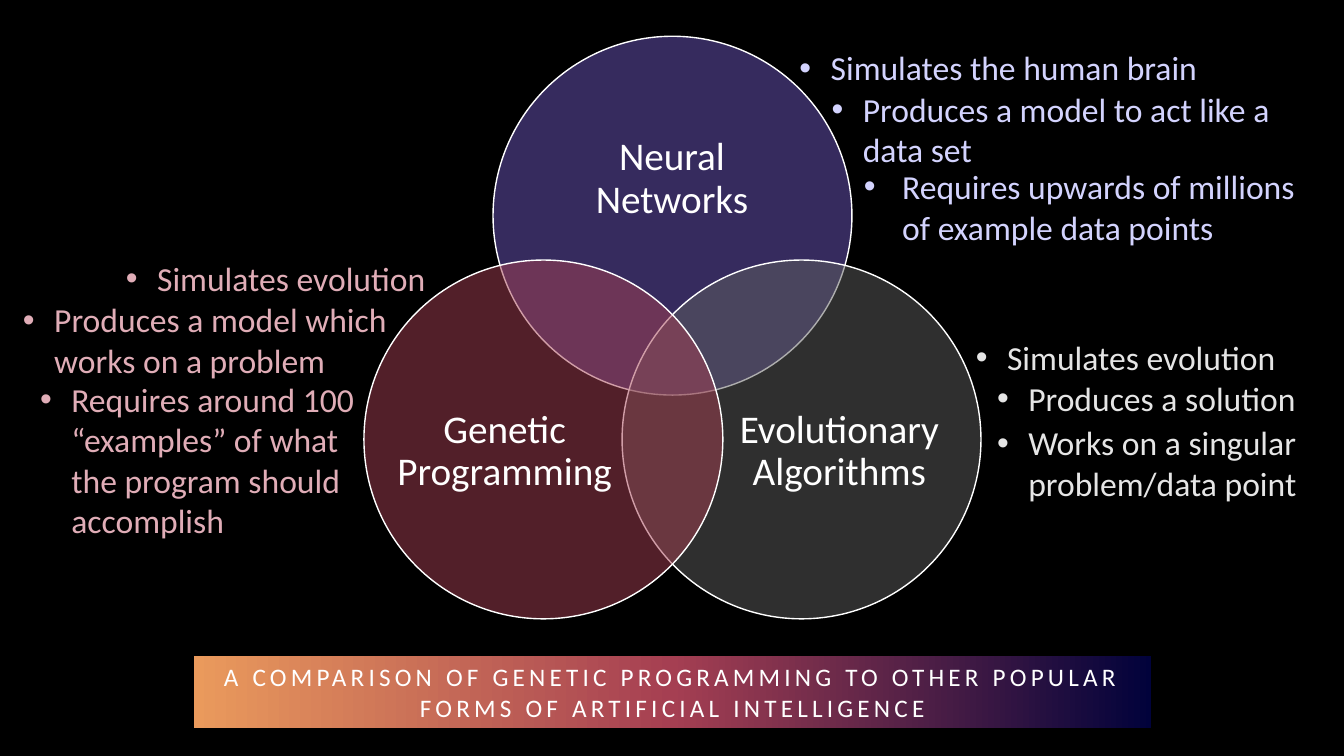
import copy

import lxml.etree
import pptx
import pptx.dml.color
import pptx.enum.shapes
import pptx.enum.text
import pptx.oxml.ns
import pptx.util

Inches = pptx.util.Inches
qn = pptx.oxml.ns.qn

FONT = "Calibri"
WHITE = "FFFFFF"
DIAMETER = 3.56
CAPTION = ("A COMPARISON OF GENETIC PROGRAMMING TO OTHER POPULAR "
           "FORMS OF ARTIFICIAL INTELLIGENCE")
GRADIENT = [("01023B", 0), ("A53F52", 0.5), ("EA9A5C", 1)]

CIRCLES = [
    ("Neural Networks", "6C56BC", (4.89, 0.36), (5.36, 0.98, 2.61, 1.6)),
    ("Evolutionary Algorithms", "5F5F5F", (6.17, 2.58), (7.26, 3.5, 2.13, 1.96)),
    ("Genetic Programming", "A53F52", (3.61, 2.58), (3.94, 3.5, 2.13, 1.96)),
]

NOTES = {
    "D3D3FE": [
        ("Simulates the human brain", (7.83, 0.42, 4.45, 0.5), 0.31),
        ("Produces a model to act like a data set", (8.15, 0.83, 4.77, 0.91), 0.31),
        ("Requires upwards of millions of example data points",
         (8.47, 1.6, 4.77, 0.91), 0.38),
    ],
    "E5E5E5": [
        ("Simulates evolution", (9.58, 3.29, 3.45, 0.5), 0.31),
        ("Produces a solution", (9.79, 3.7, 3.45, 0.5), 0.31),
        ("Works on a singular problem/data point", (9.79, 4.14, 3.45, 0.91), 0.31),
    ],
    "E0ADB7": [
        ("Simulates evolution", (1.15, 2.51, 4.45, 0.5), 0.31),
        ("Produces a model which works on a problem", (0.13, 2.92, 3.83, 0.91), 0.31),
        ("Requires around 100 “examples” of what the program should accomplish",
         (0.3, 3.71, 3.5, 1.72), 0.31),
    ],
}


def rgb(color):
    """Turn a hex string into a colour."""
    return pptx.dml.color.RGBColor.from_string(color)


def write(shape, text, size, color, centred=True):
    """Set the text of a shape as one formatted paragraph and return it."""
    frame = shape.text_frame
    frame.word_wrap = True
    frame.text = text
    para = frame.paragraphs[0]
    if centred:
        frame.vertical_anchor = pptx.enum.text.MSO_ANCHOR.MIDDLE
        para.alignment = pptx.enum.text.PP_ALIGN.CENTER
    font = para.runs[0].font
    font.name = FONT
    font.size = pptx.util.Pt(size)
    font.color.rgb = rgb(color)
    return para


def add_text(slide, text, place, size, color, centred=True):
    """Add a text box and return its frame and paragraph."""
    box = slide.shapes.add_textbox(*map(Inches, place))
    para = write(box, text, size, color, centred)
    return box.text_frame, para


def fill_gradient(shape, stops):
    """Fill a shape with a gradient that runs from right to left."""
    shape.fill.gradient()
    shape.fill.gradient_angle = 180
    stop_list = shape.fill._fill._gradFill.find(qn("a:gsLst"))
    stop_list.append(copy.deepcopy(stop_list[-1]))
    for stop, (color, position) in zip(shape.fill.gradient_stops, stops):
        stop.color.rgb = rgb(color)
        stop.position = position


def format_caption(slide):
    """Place the title as a gradient band at the foot of the slide."""
    title = slide.shapes.title
    title.left, title.top = Inches(1.92), Inches(6.51)
    title.width, title.height = Inches(9.5), Inches(0.71)
    fill_gradient(title, GRADIENT)
    para = write(title, CAPTION, 18, WHITE)
    title.text_frame.auto_size = pptx.enum.text.MSO_AUTO_SIZE.NONE
    para.runs[0].font._element.set("spc", "300")


def add_circle(slide, color, corner):
    """Add a half-transparent circle with a white outline."""
    circle = slide.shapes.add_shape(
        pptx.enum.shapes.MSO_SHAPE.OVAL,
        *map(Inches, (*corner, DIAMETER, DIAMETER)))
    circle.shadow.inherit = False
    circle.fill.solid()
    circle.fill.fore_color.rgb = rgb(color)
    solid = circle._element.spPr.find(qn("a:solidFill"))
    lxml.etree.SubElement(solid[0], qn("a:alpha"), val="50000")
    circle.line.color.rgb = rgb(WHITE)
    circle.line.width = pptx.util.Pt(1)


def add_label(slide, text, place):
    """Add the centred name of a circle."""
    frame, para = add_text(slide, text, place, 28, WHITE)
    frame.margin_left = frame.margin_right = 0
    frame.margin_top = frame.margin_bottom = 0
    para.line_spacing = 0.9


def add_note(slide, text, place, color, indent):
    """Add a bulleted note with a hanging indent."""
    para = add_text(slide, text, place, 24, color, centred=False)[1]
    properties = para._p.get_or_add_pPr()
    properties.set("marL", str(Inches(indent)))
    properties.set("indent", str(-Inches(indent)))
    lxml.etree.SubElement(properties, qn("a:buFont"), typeface="Arial")
    lxml.etree.SubElement(properties, qn("a:buChar"), char="•")


def main():
    """Build the slide and save it."""
    deck = pptx.Presentation()
    deck.slide_width, deck.slide_height = Inches(13.33), Inches(7.5)
    slide = deck.slides.add_slide(deck.slide_layouts[5])
    slide.background.fill.solid()
    slide.background.fill.fore_color.rgb = rgb("000000")
    format_caption(slide)
    for name, color, corner, label_place in CIRCLES:
        add_circle(slide, color, corner)
        add_label(slide, name, label_place)
    for color, notes in NOTES.items():
        for text, place, indent in notes:
            add_note(slide, text, place, color, indent)
    deck.save("out.pptx")


if __name__ == "__main__":
    main()
